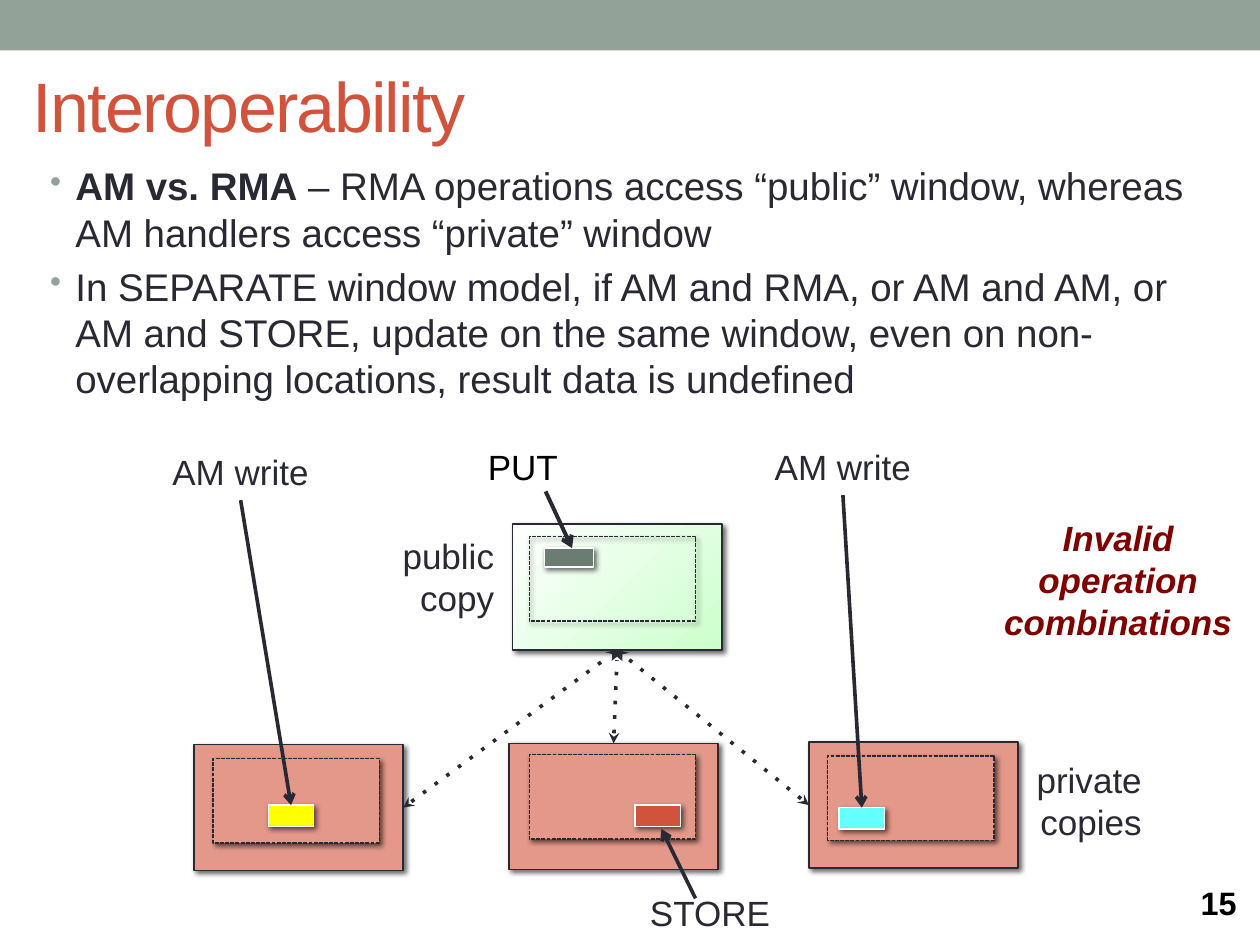
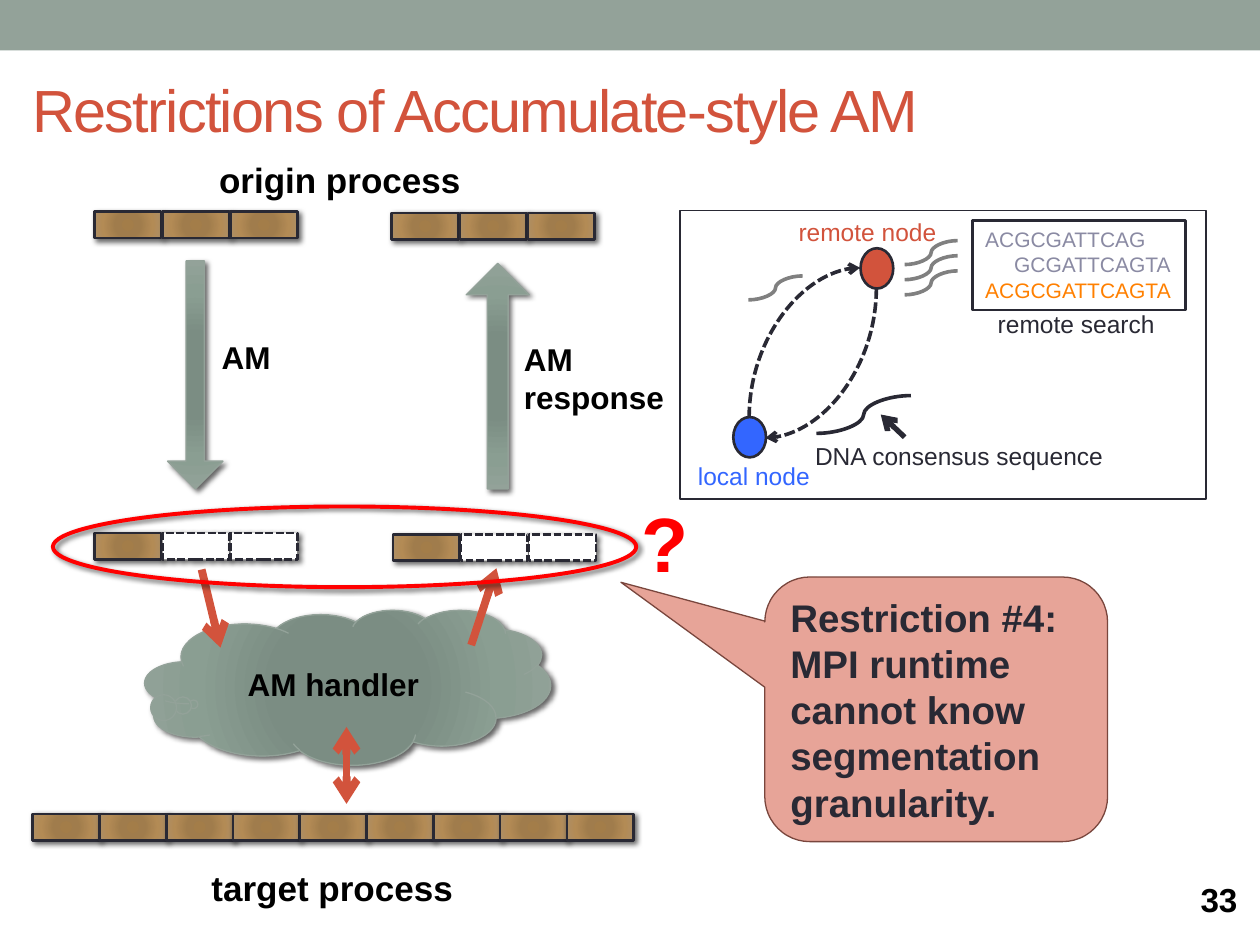
import dataclasses

import lxml.etree
import pptx
import pptx.dml.color
import pptx.enum.shapes
import pptx.enum.text
import pptx.oxml
import pptx.oxml.ns
import pptx.util


@dataclasses.dataclass(frozen=True)
class Theme:
    font: str = "Arial"
    band: str = "93A299"
    accent: str = "D2533C"
    ink: str = "292934"
    black: str = "000000"
    white: str = "FFFFFF"
    private: str = "E4988A"
    put: str = "6B7D72"
    yellow: str = "FFFF00"
    cyan: str = "66FFFF"
    warning: str = "800000"
    red: str = "FF0000"
    local: str = "3366FF"
    grey: str = "808080"
    faded: str = "8A8AA3"
    orange: str = "FF8000"
    callout_edge: str = "79463D"
    # Gradients: stops, then the focus rectangle (left, top, right, bottom)
    public: tuple = (((0, "CCFFCC"), (100, "FFFFFF")), (100, 100, 0, 0))
    wood: tuple = (((0, "A37D49"), (34, "A07C4C"), (70, "B38B55"), (100, "AD8F67")),
                   (100, 100, 100, 100))
    sage: tuple = (((0, "7B8E82"), (34, "7B8D83"), (70, "8A9E92"), (100, "93A299")),
                   (100, 100, 100, 100))
    body: float = 22
    label: float = 20
    step: float = 18
    note: float = 14
    code: float = 12
    question: float = 44
    arrow: float = 2.08


theme = Theme()
qn = pptx.oxml.ns.qn
Inches = pptx.util.Inches
rgb = pptx.dml.color.RGBColor.from_string
shape_kind = pptx.enum.shapes.MSO_SHAPE
connector_kind = pptx.enum.shapes.MSO_CONNECTOR
align_to = pptx.enum.text.PP_ALIGN
anchor_to = pptx.enum.text.MSO_ANCHOR


def write(slide, text, at=None, host=None, size=theme.label, color=theme.ink, bold=False,
          italic=False, align=align_to.LEFT, anchor=anchor_to.TOP, spacing=None, bullet=False):
    """Fill host, or a new text box at `at`; ** toggles bold and a newline starts a paragraph."""
    host = host or slide.shapes.add_textbox(*map(Inches, at))
    frame = host.text_frame
    frame.word_wrap = True
    frame.vertical_anchor = anchor
    for number, line in enumerate(text.split("\n")):
        paragraph = frame.add_paragraph() if number else frame.paragraphs[0]
        paragraph.alignment = align
        if bullet:
            pPr = paragraph._p.get_or_add_pPr()
            pPr.set("marL", str(Inches(0.2)))
            pPr.set("indent", str(Inches(-0.2)))
            tint = lxml.etree.SubElement(pPr, qn("a:buClr"))
            lxml.etree.SubElement(tint, qn("a:srgbClr"), val=theme.band)
            lxml.etree.SubElement(pPr, qn("a:buSzPct"), val="85000")
            lxml.etree.SubElement(pPr, qn("a:buChar"), char="•")
            if number:
                paragraph.space_before = pptx.util.Pt(size * 0.2)
        for part, words in enumerate(line.split("**")):
            if not words:
                continue
            run = paragraph.add_run()
            run.text = words
            run.font.name = theme.font
            run.font.size = pptx.util.Pt(size)
            run.font.color.rgb = rgb(color)
            run.font.bold = bold != (part % 2 == 1)
            run.font.italic = italic
            if spacing:
                run._r.get_or_add_rPr().set("spc", str(spacing))
    return host


def style(part, fill=None, line=None, width=0.75, dash=None, head=None, tail=None,
          shadow=False):
    """Format a new shape or connector, adding its properties in schema order."""
    properties = part.element.spPr
    if isinstance(fill, tuple):
        stops, focus = fill
        gradient = lxml.etree.SubElement(properties, qn("a:gradFill"), rotWithShape="1")
        stop_list = lxml.etree.SubElement(gradient, qn("a:gsLst"))
        for place, color in stops:
            stop = lxml.etree.SubElement(stop_list, qn("a:gs"), pos=str(place * 1000))
            lxml.etree.SubElement(stop, qn("a:srgbClr"), val=color)
        circle = lxml.etree.SubElement(gradient, qn("a:path"))
        circle.set("path", "circle")
        lxml.etree.SubElement(circle, qn("a:fillToRect"),
                              {side: str(share * 1000) for side, share in zip("ltrb", focus)})
    elif fill:
        part.fill.solid()
        part.fill.fore_color.rgb = rgb(fill)
    elif hasattr(part, "fill"):
        part.fill.background()
    if line:
        part.line.color.rgb = rgb(line)
        part.line.width = pptx.util.Pt(width)
    else:
        part.line.fill.background()
    outline = properties.find(qn("a:ln"))
    for tag, key, value in (("a:prstDash", "val", dash), ("a:headEnd", "type", head),
                            ("a:tailEnd", "type", tail)):
        if value:
            lxml.etree.SubElement(outline, qn(tag), {key: value})
    effects = lxml.etree.SubElement(properties, qn("a:effectLst"))
    if shadow:
        cast = lxml.etree.SubElement(effects, qn("a:outerShdw"), blurRad="38100", dist="25400",
                                     dir="2700000", algn="tl", rotWithShape="0")
        black = lxml.etree.SubElement(cast, qn("a:srgbClr"), val=theme.black)
        lxml.etree.SubElement(black, qn("a:alpha"), val="60000")
    return part


deck = pptx.Presentation()
deck.slide_width, deck.slide_height = Inches(10), Inches(7.5)

# Band, title and number on every slide
pages = []
for title, title_size, title_top, number, number_size, number_top in (
        ("Interoperability", 40, 0.29, "15", 18.5, 6.98),
        ("Restrictions of Accumulate-style AM", 34, 0.32, "33", 19, 6.96)):
    page = deck.slides.add_slide(deck.slide_layouts[6])
    style(page.shapes.add_shape(shape_kind.RECTANGLE, 0, 0, deck.slide_width, Inches(0.4)),
          fill=theme.band)
    write(page, title, at=(0.16, title_top, 9.55, 1.08), size=title_size, color=theme.accent,
          anchor=anchor_to.MIDDLE, spacing=-100)
    write(page, number, at=(9.43, number_top, 0.57, 0.36), size=number_size,
          color=theme.black, bold=True, anchor=anchor_to.MIDDLE)
    pages.append(page)
interop, limits = pages

# Interoperability: text
write(interop, "**AM vs. RMA** – RMA operations access “public” window, whereas AM handlers "
      "access “private” window\nIn SEPARATE window model, if AM and RMA, or AM and AM, or AM "
      "and STORE, update on the same window, even on non-overlapping locations, result data is "
      "undefined", at=(0.3, 1.24, 9.41, 2.29), size=theme.body, bullet=True)
write(interop, "public copy", at=(2.94, 4.19, 1.08, 0.77), align=align_to.RIGHT)
write(interop, "private copies", at=(7.99, 5.97, 1.17, 0.77), align=align_to.RIGHT)
write(interop, "STORE", at=(4.9, 7.03, 1.47, 0.44), align=align_to.CENTER)
write(interop, "PUT", at=(3.55, 3.49, 1.2, 0.44), color=theme.black, align=align_to.CENTER)
write(interop, "Invalid operation combinations", at=(7.84, 4.05, 2.07, 1.11),
      color=theme.warning, bold=True, italic=True, align=align_to.CENTER)
left_write, right_write = [
    write(interop, "AM write", at=(*corner, 1.96, 0.44), align=align_to.CENTER)
    for corner in ((0.93, 3.53), (5.71, 3.49))]

# Window copies: outer box, dashed window and the updated location
copies, locations = [], []
for outer, window, location, box_fill, window_fill, location_fill in (
        ((4.07, 4.16), (4.2, 4.26), (4.32, 4.35, 0.39, 0.15), theme.public, None, theme.put),
        ((1.54, 5.91), (1.69, 6.02), (2.13, 6.39, 0.36, 0.17), theme.private, theme.private,
         theme.yellow),
        ((4.04, 5.9), (4.2, 5.99), (5.04, 6.39, 0.36, 0.17), theme.private, theme.private,
         theme.accent),
        ((6.42, 5.89), (6.57, 6), (6.66, 6.41, 0.36, 0.17), theme.private, theme.private,
         theme.cyan)):
    for place, fill, line, dash in (((*outer, 1.66, 1), box_fill, theme.ink, None),
                                    ((*window, 1.32, 0.67), window_fill, theme.ink, "sysDash"),
                                    (location, location_fill, theme.white, None)):
        layer = interop.shapes.add_shape(shape_kind.RECTANGLE, *map(Inches, place))
        style(layer, fill=fill, line=line, dash=dash, shadow=True)
        if place[:2] == outer:
            copies.append(layer)
    locations.append(layer)
public, left_private, middle_private, right_private = copies

for ends, width in (((4.33, 3.9, 4.54, 4.35), 2.25), ((5.52, 7.13, 5.25, 6.58), theme.arrow)):
    access = interop.shapes.add_connector(connector_kind.STRAIGHT, *map(Inches, ends))
    style(access, line=theme.ink, width=width, tail="arrow")
for source, source_side, target, target_side, look in (
        (left_write, 2, locations[1], 0, dict(tail="arrow")),
        (right_write, 2, locations[3], 0, dict(tail="arrow")),
        (left_private, 3, public, 2, dict(dash="dot", head="stealth", tail="stealth")),
        (middle_private, 0, public, 2, dict(dash="dot", head="stealth", tail="stealth")),
        (right_private, 1, public, 2, dict(dash="dot", head="stealth", tail="stealth"))):
    link = interop.shapes.add_connector(connector_kind.STRAIGHT, 0, 0, 0, 0)
    link.begin_connect(source, source_side)
    link.end_connect(target, target_side)
    style(link, line=theme.ink, width=theme.arrow, **look)

# Restrictions: data segments, the first `filled` of each strip hold data
for left, top, pitch, count, filled in ((0.75, 1.68, 0.54, 3, 3), (3.11, 1.69, 0.54, 3, 3),
                                        (0.75, 4.23, 0.54, 3, 1), (3.12, 4.24, 0.54, 3, 1),
                                        (0.26, 6.46, 0.53, 9, 9)):
    for index in range(count):
        segment = limits.shapes.add_shape(
            shape_kind.RECTANGLE, Inches(left + index * pitch), Inches(top),
            Inches(0.53), Inches(0.21))
        has_data = index < filled
        style(segment, fill=theme.wood if has_data else theme.white, line=theme.ink, width=1.5,
              dash=None if has_data else "sysDash", shadow=True)

for place, turn in (((1.33, 2.07, 0.44, 1.81), 0), ((3.7, 2.09, 0.5, 1.79), 180)):
    message = limits.shapes.add_shape(shape_kind.DOWN_ARROW, *map(Inches, place))
    message.adjustments[0], message.adjustments[1] = 0.33, 0.5
    message.rotation = turn
    style(message, fill=theme.sage, line=theme.band, shadow=True)

handler = limits.shapes.add_shape(shape_kind.CLOUD_CALLOUT,
                                  *map(Inches, (1.15, 4.84, 3.22, 1.23)))
handler.adjustments[0], handler.adjustments[1] = -0.38, 0.11
style(handler, fill=theme.sage, line=theme.band, shadow=True)
write(limits, "AM handler", host=handler, size=theme.step, color=theme.black, bold=True,
      align=align_to.CENTER, anchor=anchor_to.MIDDLE)
for ends, head in (((1.6, 4.52, 1.75, 5.14), None), ((3.74, 5.12, 3.94, 4.51), None),
                   ((2.75, 6.38, 2.75, 5.77), "arrow")):
    flow = limits.shapes.add_connector(connector_kind.STRAIGHT, *map(Inches, ends))
    style(flow, line=theme.accent, width=4.5, head=head, tail="arrow")

for text, place, size in (("origin process", (1.64, 1.21, 2.22, 0.44), theme.label),
                          ("target process", (1.58, 6.83, 2.23, 0.44), theme.label),
                          ("AM", (1.66, 2.63, 1.69, 0.4), theme.step),
                          ("AM response", (4.06, 2.65, 1.36, 0.71), theme.step)):
    write(limits, text, at=place, size=size, color=theme.black, bold=True)

# DNA example panel
panel = limits.shapes.add_shape(shape_kind.RECTANGLE, *map(Inches, (5.4, 1.67, 4.17, 2.29)))
style(panel, line=theme.ink, width=1)
for left, top, color in ((5.82, 3.31, theme.local), (6.83, 1.97, theme.accent)):
    node = limits.shapes.add_shape(shape_kind.OVAL, *map(Inches, (left, top, 0.26, 0.32)))
    style(node, fill=color, line=theme.ink, width=1.5)
for ends in ((6.98, 3.16, 5.79, 2.28), (5.92, 2.44, 7.11, 3.32)):
    trip = limits.shapes.add_connector(connector_kind.CURVE, *map(Inches, ends))
    trip.element.spPr.find(qn("a:prstGeom")).set("prst", "curvedConnector2")
    trip.element.spPr.find(qn("a:xfrm")).set("rot", str(90 * 60000))
    style(trip, line=theme.ink, width=theme.arrow, dash="sysDash", tail="arrow")
for left, bottom, width, height, color in (
        (6.48, 3.44, 0.75, 0.3, theme.ink), (5.94, 2.38, 0.43, 0.19, theme.grey),
        *((7.18, 2.1 + 0.12 * row, 0.42, 0.19, theme.grey) for row in range(3))):
    strand = limits.shapes.add_connector(
        connector_kind.CURVE, *map(Inches, (left, bottom, left + width, bottom - height)))
    style(strand, line=color, width=theme.arrow)
pointer = limits.shapes.add_connector(connector_kind.STRAIGHT,
                                      *map(Inches, (7.18, 3.47, 6.99, 3.29)))
style(pointer, line=theme.ink, width=3, tail="arrow")
for text, place, color, align in (
        ("remote search", (7.82, 2.4, 1.51, 0.32), theme.ink, align_to.LEFT),
        ("local node", (5.44, 3.61, 1.21, 0.32), theme.local, align_to.LEFT),
        ("remote node", (6.16, 1.67, 1.45, 0.32), theme.accent, align_to.CENTER),
        ("DNA consensus sequence", (6.37, 3.45, 2.58, 0.32), theme.ink, align_to.LEFT)):
    write(limits, text, at=place, size=theme.note, color=color, align=align)
matches = limits.shapes.add_shape(shape_kind.RECTANGLE, *map(Inches, (7.72, 1.75, 1.69, 0.71)))
style(matches, line=theme.ink, width=1.5)
write(limits, "ACGCGATTCAG\nGCGATTCAGTA\nACGCGATTCAGTA", host=matches, size=theme.code,
      color=theme.faded)
matches.text_frame.margin_right = 0
fragment, shifted, merged = matches.text_frame.paragraphs
shifted._p.get_or_add_pPr().set("marL", str(Inches(0.23)))
merged.runs[0].font.color.rgb = rgb(theme.orange)

# Open question and the restriction it leads to
ring = limits.shapes.add_shape(shape_kind.OVAL, *map(Inches, (0.42, 4.02, 4.63, 0.64)))
style(ring, line=theme.red, width=2.25, shadow=True)
restriction = limits.shapes.add_shape(shape_kind.ROUNDED_RECTANGULAR_CALLOUT,
                                      *map(Inches, (6.07, 4.58, 2.72, 2.1)))
for index, value in enumerate((-0.92, -0.48, 0.17)):
    restriction.adjustments[index] = value
style(restriction, fill=theme.private, line=theme.callout_edge)
tint = restriction.element.spPr.find(qn("a:solidFill")).find(qn("a:srgbClr"))
lxml.etree.SubElement(tint, qn("a:alpha"), val="88000")
write(limits, "Restriction #4:\nMPI runtime cannot know segmentation granularity.",
      host=restriction, size=theme.body, bold=True, anchor=anchor_to.MIDDLE)
write(limits, "?", at=(4.99, 3.88, 1.02, 0.84), size=theme.question, color=theme.red, bold=True)

deck.save("out.pptx")
